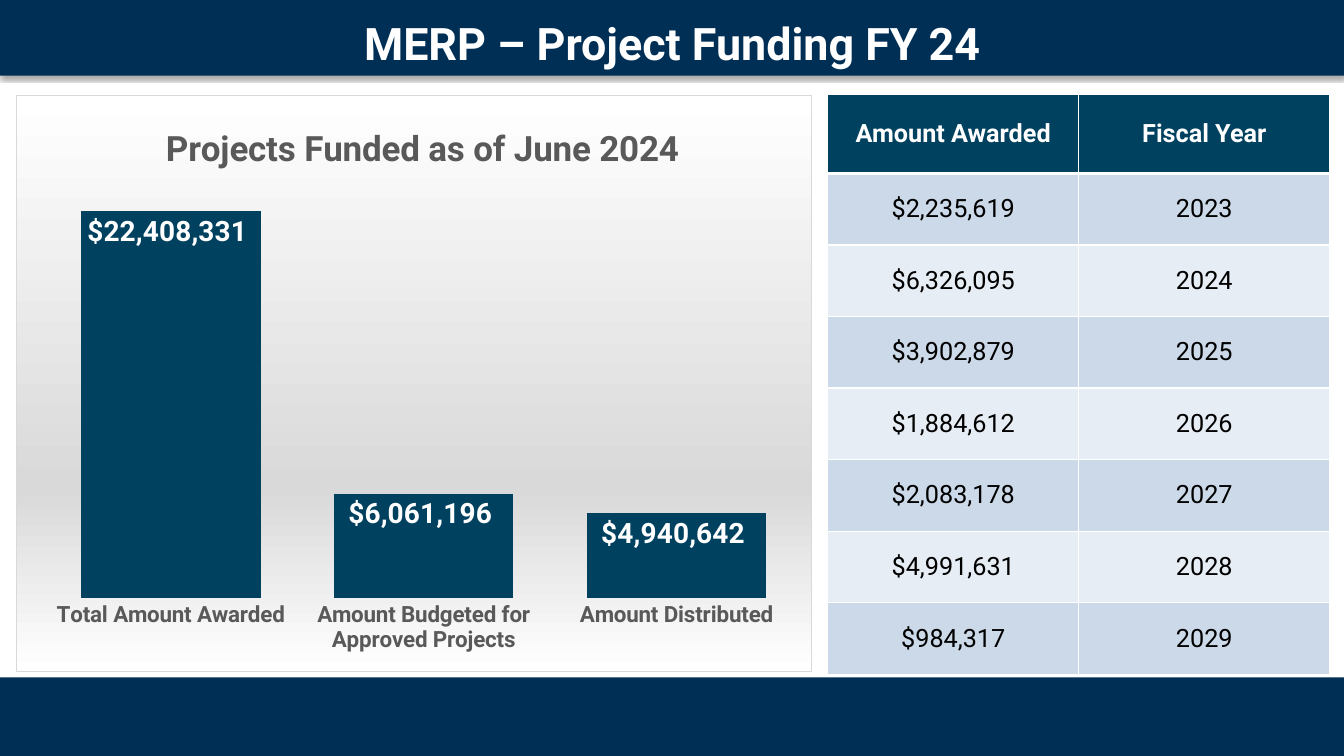
from lxml.etree import SubElement
from pptx import Presentation
from pptx.chart.data import CategoryChartData
from pptx.dml.color import RGBColor
from pptx.enum.chart import XL_CHART_TYPE, XL_LABEL_POSITION, XL_TICK_MARK
from pptx.enum.shapes import MSO_SHAPE
from pptx.enum.text import MSO_ANCHOR, PP_ALIGN
from pptx.oxml import parse_xml
from pptx.oxml.ns import nsdecls, qn
from pptx.util import Inches, Pt

COLORS = {
    "navy": "002F56", "teal": "00415F", "white": "FFFFFF", "black": "000000",
    "gray": "595959", "silver": "D9D9D9", "band": "CCD9E8", "light": "E7EDF4",
}
MONEY = '"$"#,##0_);[Red]\\("$"#,##0\\)'


def rgb(name):
    return RGBColor.from_string(COLORS[name])


class FundingSlide:
    """Draws the project funding slide in one shared style."""

    def __init__(self, presentation, font_name="Roboto"):
        self.slide = presentation.slides.add_slide(presentation.slide_layouts[6])
        self.font_name = font_name

    def style(self, font, size, color, bold=False):
        font.name = self.font_name
        font.size = Pt(size)
        font.bold = bold
        font.color.rgb = rgb(color)

    def band(self, top, height, shadow=False):
        shape = self.slide.shapes.add_shape(
            MSO_SHAPE.RECTANGLE, 0, Inches(top), Inches(13.33), Inches(height))
        shape.shadow.inherit = False
        shape.fill.solid()
        shape.fill.fore_color.rgb = rgb("navy")
        shape.line.fill.background()
        if shadow:
            effects = shape._element.spPr.find(qn("a:effectLst"))
            effects.append(parse_xml(
                f'<a:outerShdw {nsdecls("a")} blurRad="{Pt(3.1)}" dist="{Pt(1.8)}" '
                'dir="5400000" algn="t" rotWithShape="0">'
                f'<a:srgbClr val="{COLORS["black"]}"><a:alpha val="35000"/></a:srgbClr>'
                '</a:outerShdw>'))

    def title(self, text, left, top, width, height):
        shape = self.slide.shapes.add_textbox(
            Inches(left), Inches(top), Inches(width), Inches(height))
        shape.text_frame.word_wrap = True
        paragraph = shape.text_frame.paragraphs[0]
        paragraph.text = text
        paragraph.alignment = PP_ALIGN.CENTER
        self.style(paragraph.font, 32, "white", True)

    def layout(self, **values):
        items = "".join(f'<c:{key} val="{value}"/>' for key, value in values.items())
        return parse_xml(f'<c:layout {nsdecls("c")}><c:manualLayout>{items}'
                         '</c:manualLayout></c:layout>')

    def chart(self, title, amounts, left, top, width, height):
        data = CategoryChartData(number_format=MONEY)
        data.categories = list(amounts)
        data.add_series("Series 1", list(amounts.values()))
        chart = self.slide.shapes.add_chart(
            XL_CHART_TYPE.COLUMN_CLUSTERED, Inches(left), Inches(top),
            Inches(width), Inches(height), data).chart
        self.style(chart.font, 10, "black")
        chart.has_legend = False
        self.chart_title(chart, title)

        category_axis = chart.category_axis
        category_axis.major_tick_mark = XL_TICK_MARK.NONE
        category_axis.format.line.fill.background()
        self.style(category_axis.tick_labels.font, 16, "gray", True)
        value_axis = chart.value_axis
        value_axis.minimum_scale = 0
        value_axis.maximum_scale = 25000000
        value_axis.has_major_gridlines = False
        value_axis.visible = False

        plot = chart.plots[0]
        plot.gap_width = 41
        plot.vary_by_categories = False
        series = plot.series[0]
        series.format.fill.solid()
        series.format.fill.fore_color.rgb = rgb("teal")
        labels = series.data_labels
        labels.show_value = True
        labels.position = XL_LABEL_POSITION.INSIDE_END
        labels.number_format = MONEY
        labels.number_format_is_linked = False
        self.style(labels.font, 20, "white", True)
        self.chart_area(chart)

    def chart_title(self, chart, text):
        frame = chart.chart_title.text_frame
        frame.text = text
        self.style(frame.paragraphs[0].font, 25, "gray", True)
        title = chart.chart_title._element
        for old in title.findall(qn("c:layout")):
            title.remove(old)
        title.find(qn("c:tx")).addnext(self.layout(
            xMode="edge", yMode="edge", x=0.18, y=0.04))

    def chart_area(self, chart):
        space = chart._chartSpace
        plot_area = space.chart.plotArea
        for old in plot_area.findall(qn("c:layout")):
            plot_area.remove(old)
        plot_area.insert(0, self.layout(
            layoutTarget="inner", xMode="edge", yMode="edge",
            x=0.035, y=0.124, w=0.955, h=0.749))
        stops = "".join(
            f'<a:gs pos="{position * 1000}"><a:srgbClr val="{COLORS[color]}"/></a:gs>'
            for position, color in ((0, "white"), (68, "silver"), (100, "white")))
        space.chart.addnext(parse_xml(
            f'<c:spPr {nsdecls("c", "a")}><a:gradFill><a:gsLst>{stops}</a:gsLst>'
            f'<a:lin ang="5400000" scaled="0"/></a:gradFill><a:ln w="{Pt(0.75)}">'
            f'<a:solidFill><a:srgbClr val="{COLORS["silver"]}"/></a:solidFill></a:ln>'
            '</c:spPr>'))

    def border(self, cell, side, width):
        line = SubElement(cell._tc.get_or_add_tcPr(), qn(f"a:ln{side}"), w=str(Pt(width)))
        fill = SubElement(line, qn("a:solidFill"))
        SubElement(fill, qn("a:srgbClr"), val=COLORS["white"])

    def table(self, rows, left, top, width, header_height, row_height):
        height = header_height + row_height * (len(rows) - 1)
        table = self.slide.shapes.add_table(
            len(rows), len(rows[0]), Inches(left), Inches(top),
            Inches(width), Inches(height)).table
        for row_index, values in enumerate(rows):
            header = row_index == 0
            table.rows[row_index].height = Inches(header_height if header else row_height)
            fill = "teal" if header else ("light", "band")[row_index % 2]
            for column_index, value in enumerate(values):
                cell = table.cell(row_index, column_index)
                for side in "LRTB":
                    thick = (header and side == "B") or (row_index == 1 and side == "T")
                    self.border(cell, side, 3 if thick else 1)
                cell.fill.solid()
                cell.fill.fore_color.rgb = rgb(fill)
                cell.vertical_anchor = MSO_ANCHOR.MIDDLE
                paragraph = cell.text_frame.paragraphs[0]
                paragraph.text = value
                paragraph.alignment = PP_ALIGN.CENTER
                self.style(paragraph.font, 18, "white" if header else "black", header)


def main():
    presentation = Presentation()
    presentation.slide_width = Inches(13.33)
    presentation.slide_height = Inches(7.5)
    funding = FundingSlide(presentation)
    funding.band(6.72, 0.8)
    funding.band(0, 0.75, shadow=True)
    funding.title("MERP – Project Funding FY 24", 3.1, 0.11, 7.14, 0.64)
    funding.chart("Projects Funded as of June 2024", {
        "Total Amount Awarded": 22408331,
        "Amount Budgeted for Approved Projects": 6061196,
        "Amount Distributed": 4940642,
    }, 0.16, 0.94, 7.89, 5.73)
    awards = ["$2,235,619", "$6,326,095", "$3,902,879", "$1,884,612",
              "$2,083,178", "$4,991,631", "$984,317"]
    rows = [("Amount Awarded", "Fiscal Year")]
    rows += [(award, str(year)) for year, award in enumerate(awards, 2023)]
    funding.table(rows, 8.21, 0.94, 4.98, 0.78, 0.71)
    presentation.save("out.pptx")


if __name__ == "__main__":
    main()
